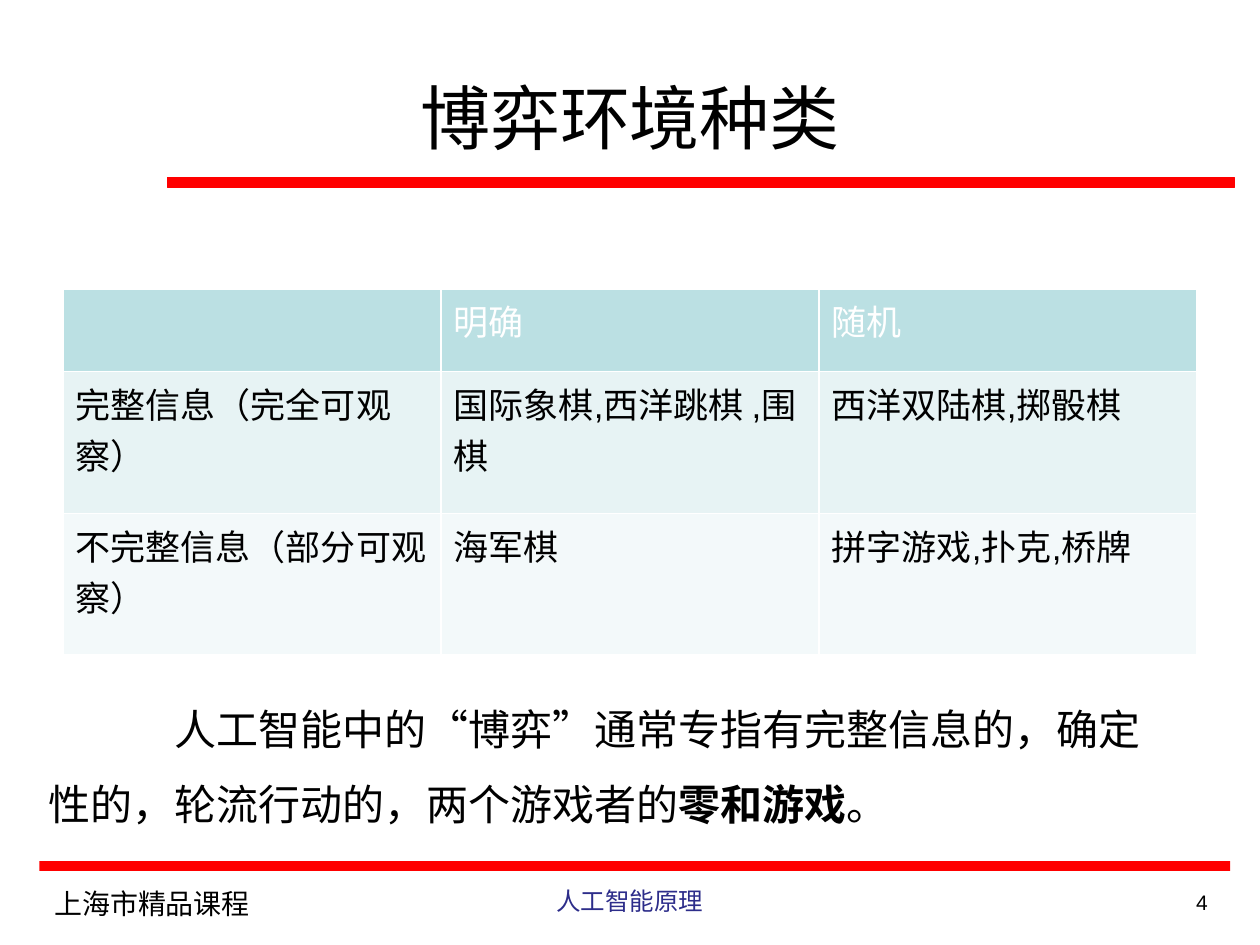
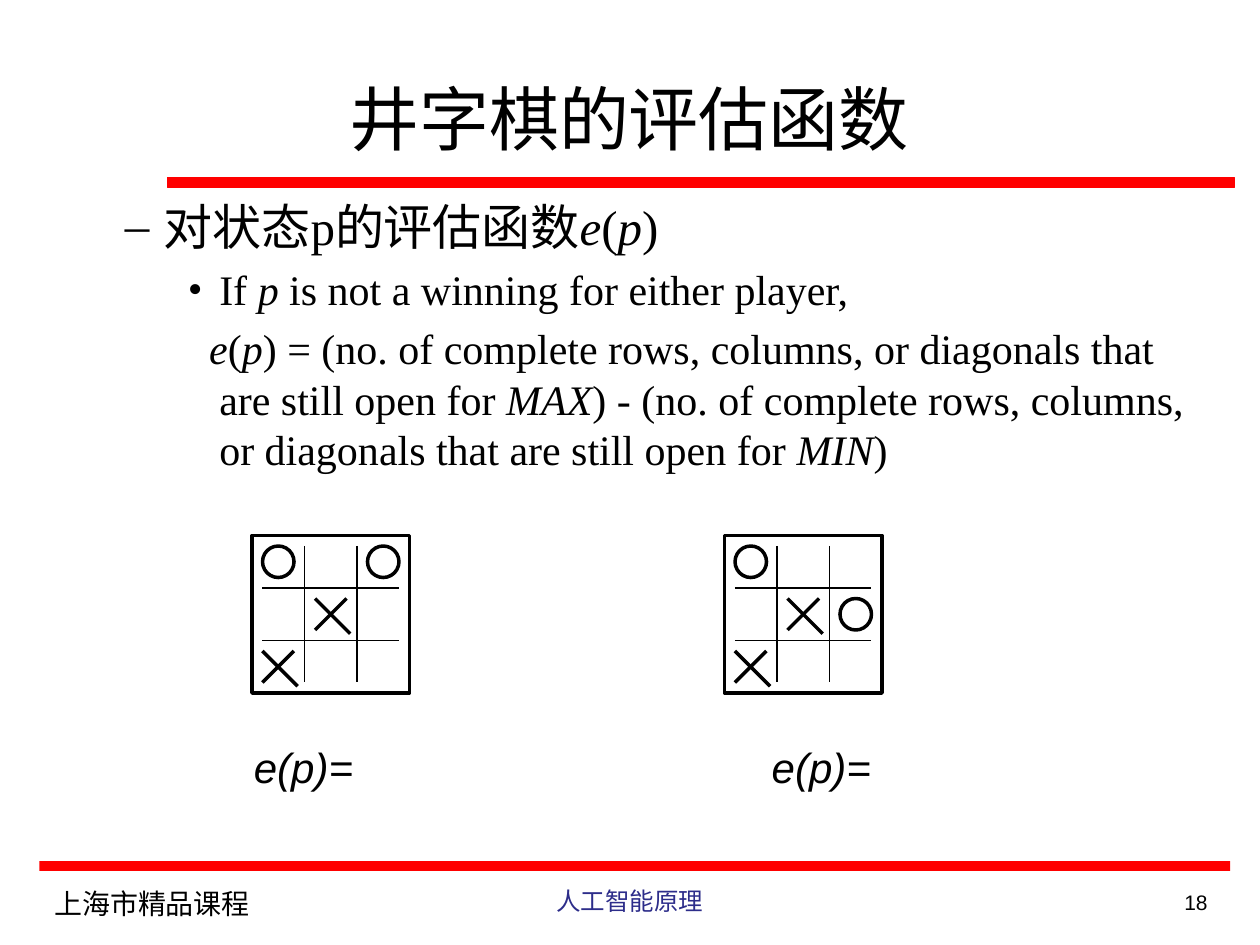
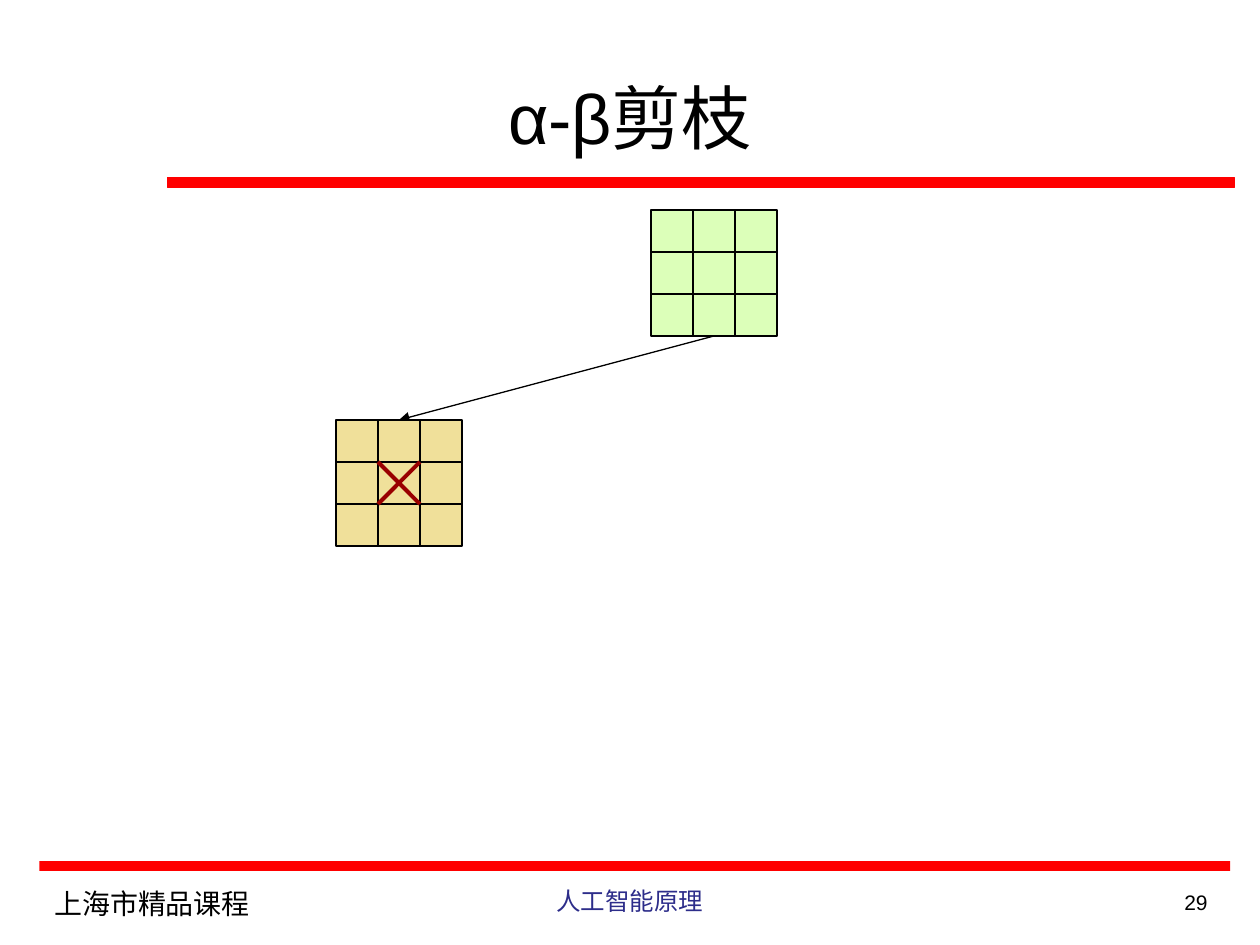
from lxml.etree import SubElement
from pptx import Presentation
from pptx.dml.color import RGBColor
from pptx.enum.shapes import MSO_CONNECTOR, MSO_SHAPE
from pptx.enum.text import MSO_ANCHOR as ANCHOR, PP_ALIGN as ALIGN
from pptx.oxml.ns import qn
from pptx.util import Inches, Pt

COLS, ROWS = 120, 90
UNIT = Inches(10) / COLS
BLACK, WHITE, RED, NAVY, MAROON = "000000", "FFFFFF", "FF0000", "2D2D8A", "990000"
GREEN, SAND = "DCFFB9", "F0E09A"
TABLE_FILLS = ["BBE0E3", "E7F3F4", "F3F9FA"]
SANS, SERIF, CJK = "Arial", "Times New Roman", "Noto Sans CJK SC"
TITLE_BOX = (6, 3.6, 108, 15)


def grid(*lengths):
    return [round(n * UNIT) for n in lengths]


def rgb(color):
    return RGBColor.from_string(color)


def write(p, text, size=24, font=SANS, color=BLACK, emphasis="italic", align=None,
          before=None, spacing=None, left=0, indent=0, bullet=None, tab=None):
    pPr = p._p.get_or_add_pPr()
    if left or indent:
        pPr.set("marL", str(Inches(left)))
        pPr.set("indent", str(Inches(indent)))
    if bullet:
        SubElement(pPr, qn("a:buFont"), typeface=font)
        SubElement(pPr, qn("a:buChar"), char=bullet)
    if tab:
        tabs = SubElement(pPr, qn("a:tabLst"))
        SubElement(tabs, qn("a:tab"), pos=str(Inches(tab)), algn="l")
    p.alignment = align
    if before:
        p.space_before = Pt(before)
    if spacing:
        p.line_spacing = spacing
    for i, part in enumerate(text.split("*")):
        if not part:
            continue
        r = p.add_run()
        r.text = part
        r.font.size, r.font.name = Pt(size), font
        r.font.color.rgb = rgb(color)
        r.font.bold = r.font.italic = False
        setattr(r.font, emphasis, i % 2 == 1)
        SubElement(r._r.get_or_add_rPr(), qn("a:ea"), typeface=CJK)


def text_box(s, box, anchor=ANCHOR.TOP):
    tf = s.shapes.add_textbox(*grid(*box)).text_frame
    tf.word_wrap = True
    tf.vertical_anchor = anchor
    return tf


def label(s, box, text, anchor=ANCHOR.TOP, **fmt):
    write(text_box(s, box, anchor).paragraphs[0], text, **fmt)


def shape(parent, kind, box, fill=None, line=None, width=0.75):
    sp = parent.shapes.add_shape(kind, *grid(*box))
    sp.shadow.inherit = False
    if fill:
        sp.fill.solid()
        sp.fill.fore_color.rgb = rgb(fill)
    else:
        sp.fill.background()
    if line:
        sp.line.color.rgb = rgb(line)
        sp.line.width = Pt(width)
    else:
        sp.line.fill.background()


def connect(parent, start, end, color=BLACK, width=0.75, arrow=False):
    c = parent.shapes.add_connector(MSO_CONNECTOR.STRAIGHT, *grid(*start, *end))
    c.line.color.rgb = rgb(color)
    c.line.width = Pt(width)
    if arrow:
        SubElement(c.line._get_or_add_ln(), qn("a:tailEnd"), type="triangle")
    SubElement(c._element.spPr, qn("a:effectLst"))


def board(parent, x, y, size, inset=0, fill=None, frame=0.75, rule=0.75):
    shape(parent, MSO_SHAPE.RECTANGLE, (x, y, size, size), fill, BLACK, frame)
    for step in (size / 3, size * 2 / 3):
        connect(parent, (x + step, y + inset), (x + step, y + size - inset), width=rule)
        connect(parent, (x + inset, y + step), (x + size - inset, y + step), width=rule)


def cross(parent, x, y, size, reach, **fmt):
    mark = parent.shapes.add_group_shape()
    connect(mark, (x, y), (x + reach, y + reach), **fmt)
    connect(mark, (x + size, y), (x, y + size), **fmt)


def position(s, x, y, noughts, crosses, size=15, inset=1):
    board(s, x, y, size, inset, frame=2, rule=1)
    cell = size / 3
    mark = cell - 2 * inset
    for col, row in noughts:
        box = (x + col * cell + inset, y + row * cell + inset, mark, mark)
        shape(s, MSO_SHAPE.OVAL, box, line=BLACK, width=2)
    for col, row in crosses:
        cross(s, x + col * cell + inset, y + row * cell + inset, mark, mark + 0.35, width=2)


def base_slide(prs, title, number, title_box=TITLE_BOX):
    s = prs.slides.add_slide(prs.slide_layouts[6])
    shape(s, MSO_SHAPE.RECTANGLE, (3.75, 82, 113.4, 0.95), RED)
    shape(s, MSO_SHAPE.RECTANGLE, (15.95, 16.9, 101.6, 0.95), RED, RED)
    label(s, title_box, title, ANCHOR.MIDDLE, size=40, align=ALIGN.CENTER)
    label(s, (4, 83.8, 32, 6.2), "上海市精品课程", size=16, font=CJK)
    label(s, (41, 83.8, 38, 6.2), "人工智能原理", size=14, font=CJK, color=NAVY,
          align=ALIGN.CENTER)
    label(s, (103, 84.1, 13.2, 2.9), str(number), size=12, align=ALIGN.RIGHT)
    return s


def border(cell):
    tcPr = cell._tc.get_or_add_tcPr()
    for i, side in enumerate(("lnL", "lnR", "lnT", "lnB")):
        ln = tcPr.makeelement(qn(f"a:{side}"), {"w": str(Pt(1))})
        fill = SubElement(ln, qn("a:solidFill"))
        SubElement(fill, qn("a:srgbClr"), val=WHITE)
        tcPr.insert(i, ln)


def game_table(s, box, heights, rows):
    table = s.shapes.add_table(len(rows), len(rows[0]), *grid(*box)).table
    for i, (row, height, fill) in enumerate(zip(rows, heights, TABLE_FILLS)):
        table.rows[i].height = grid(height)[0]
        for j, text in enumerate(row):
            cell = table.cell(i, j)
            cell.fill.solid()
            cell.fill.fore_color.rgb = rgb(fill)
            border(cell)
            write(cell.text_frame.paragraphs[0], text, size=20,
                  color=BLACK if i else WHITE)


def environments_slide(prs):
    s = base_slide(prs, "博弈环境种类", 4)
    heights = (7.9, 13.5, 13.5)
    game_table(s, (6, 27.5, 108, sum(heights)), heights, [
        ("", "明确", "随机"),
        ("完整信息（完全可观察）", "国际象棋,西洋跳棋 ,围棋", "西洋双陆棋,掷骰棋"),
        ("不完整信息（部分可观察）", "海军棋", "拼字游戏,扑克,桥牌"),
    ])
    label(s, (3.4, 64, 110.3, 14.9),
          "人工智能中的“博弈”通常专指有完整信息的，确定性的，轮流行动的，"
          "两个游戏者的*零和游戏*。",
          font=SERIF, emphasis="bold", spacing=1.5, indent=1)


def evaluation_slide(prs):
    s = base_slide(prs, "井字棋的评估函数", 18, (3.2, 6, 113.4, 10.4))
    tf = text_box(s, (4.7, 18.1, 110.8, 31.3))
    write(tf.paragraphs[0], "对状态p的评估函数*e*(*p*)", size=28, font=SERIF,
          left=0.81, indent=-0.31, bullet="–")
    write(tf.add_paragraph(), "If *p* is not a winning for either player,",
          font=SERIF, before=5, left=1.25, indent=-0.25, bullet="•")
    write(tf.add_paragraph(),
          "*e*(*p*) = (no. of complete rows, columns, or diagonals that are still open "
          "for *MAX*) - (no. of complete rows, columns, or diagonals that are still open "
          "for *MIN*)", font=SERIF, before=5, left=1.25, indent=-0.08)
    crosses = [(1, 1), (0, 2)]
    position(s, 24, 51, [(0, 0), (2, 0)], crosses)
    position(s, 69, 51, [(0, 0), (2, 1)], crosses)
    label(s, (23, 70, 62, 6.1), "*e(p)=\te(p)=*", tab=4.11)


def pruning_slide(prs):
    s = base_slide(prs, "α-β剪枝", 29)
    size, cell = 12, 4
    root, child = (62, 20), (32, 40)
    board(s.shapes.add_group_shape(), *root, size, fill=GREEN)
    branch = s.shapes.add_group_shape()
    connect(branch, (root[0] + size / 2, root[1] + size), (child[0] + size / 2, child[1]),
            arrow=True)
    board(branch, *child, size, fill=SAND)
    cross(branch, child[0] + cell, child[1] + cell, cell, cell, color=MAROON, width=2.25)


def main():
    prs = Presentation()
    prs.slide_width, prs.slide_height = grid(COLS, ROWS)
    environments_slide(prs)
    evaluation_slide(prs)
    pruning_slide(prs)
    prs.save("out.pptx")


if __name__ == "__main__":
    main()
